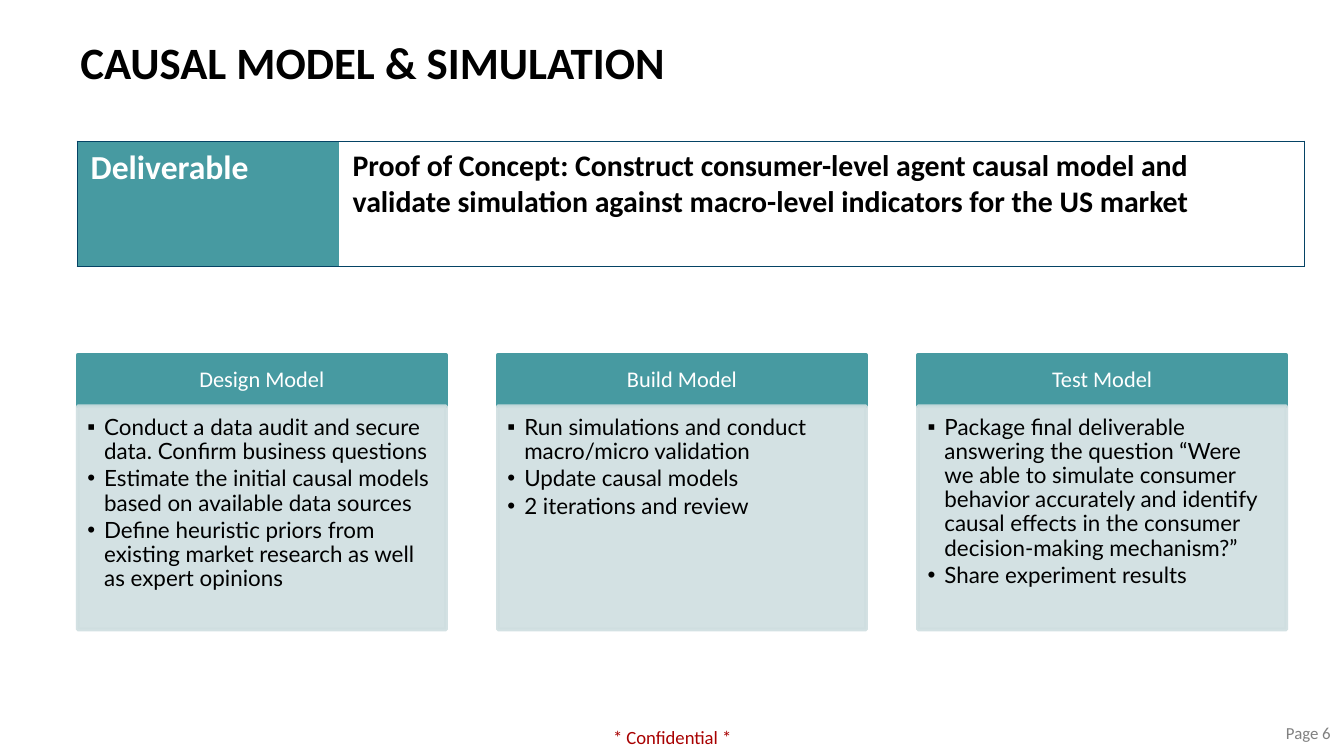
import dataclasses
import typing

import pptx
import pptx.dml.color
import pptx.enum.shapes
import pptx.enum.text
import pptx.oxml
import pptx.oxml.ns
import pptx.util

Cm = pptx.util.Cm
Pt = pptx.util.Pt
ALIGN = pptx.enum.text.PP_ALIGN
ANCHOR = pptx.enum.text.MSO_ANCHOR
NS = pptx.oxml.ns.nsdecls("a")

HUES = {
    "teal": "479AA1",
    "pale": "CFDEE0",
    "navy": "054365",
    "white": "FFFFFF",
    "black": "000000",
    "red": "A80000",
    "grey": "808080",
}


@dataclasses.dataclass
class Box:
    left: float
    top: float
    width: float
    height: float

    def spans(self) -> list[int]:
        return [Cm(n) for n in (self.left, self.top, self.width, self.height)]


@dataclasses.dataclass
class Style:
    size: float
    hue: str
    face: str = "Calibri"
    bold: bool = False


@dataclasses.dataclass
class Label:
    box: Box
    text: str
    style: Style
    para: dict[str, typing.Any]
    frame: dict[str, typing.Any]


@dataclasses.dataclass
class Step:
    title: str
    tasks: list[str]


def pads(left: float, top: float, right: float, bottom: float) -> dict[str, int]:
    return {
        "margin_left": Cm(left), "margin_top": Cm(top),
        "margin_right": Cm(right), "margin_bottom": Cm(bottom),
    }


LABELS = [
    Label(Box(11.18, 13.56, 3.05, 0.74), "* Confidential *", Style(10, "red"),
          {"alignment": ALIGN.CENTER},
          {"vertical_anchor": ANCHOR.MIDDLE, **pads(0, 0, 0, 0)}),
    Label(Box(1.27, -0.03, 19.84, 2.39), "CAUSAL MODEL & SIMULATION",
          Style(24, "black", bold=True), {}, {"vertical_anchor": ANCHOR.MIDDLE}),
    Label(Box(19.48, 13.54, 5.92, 0.76), "Page 6", Style(9, "grey"),
          {"alignment": ALIGN.RIGHT}, {}),
]

STEPS = [
    Step("Design Model", [
        "Conduct a data audit and secure data. Confirm business questions",
        "Estimate the initial causal models based on available data sources",
        "Define heuristic priors from existing market research as well as expert opinions",
    ]),
    Step("Build Model", [
        "Run simulations and conduct macro/micro validation",
        "Update causal models",
        "2 iterations and review",
    ]),
    Step("Test Model", [
        "Package final deliverable answering the question “Were we able to simulate "
        "consumer behavior accurately and identify causal effects in the consumer "
        "decision-making mechanism?”",
        "Share experiment results",
    ]),
]

GOAL = ("Proof of Concept: Construct consumer-level agent causal model and validate "
        "simulation against macro-level indicators for the US market")

HEAD = Box(1.47, 6.71, 6.96, 0.97)
BODY = Box(1.47, 7.68, 6.96, 4.22)
PITCH = 7.94


def apply(item: typing.Any, values: dict[str, typing.Any]) -> None:
    for name, value in values.items():
        setattr(item, name, value)


def tint(hue: str) -> pptx.dml.color.RGBColor:
    return pptx.dml.color.RGBColor.from_string(HUES[hue])


def write(para, text: str, style: Style, **values) -> None:
    run = para.add_run()
    run.text = text
    apply(run.font, {"size": Pt(style.size), "name": style.face, "bold": style.bold})
    run.font.color.rgb = tint(style.hue)
    apply(para, values)


def add_label(slide, label: Label) -> None:
    frame = slide.shapes.add_textbox(*label.box.spans()).text_frame
    apply(frame, {"word_wrap": True, **label.frame})
    write(frame.paragraphs[0], label.text, label.style, **label.para)


def add_panel(slide, box: Box, hue: str, **values):
    """Draw a filled rectangle and return it with its text frame formatted."""
    panel = slide.shapes.add_shape(pptx.enum.shapes.MSO_SHAPE.RECTANGLE, *box.spans())
    panel.shadow.inherit = False
    for fill in (panel.fill, panel.line.fill):
        fill.solid()
        fill.fore_color.rgb = tint(hue)
    panel.line.width = Pt(2)
    apply(panel.text_frame, {"word_wrap": True, **values})
    return panel


def fade(panel, share: int) -> None:
    """Set the opacity of fill and line, in percent."""
    for hue in panel.fill._xPr.iter(pptx.oxml.ns.qn("a:srgbClr")):
        hue.append(pptx.oxml.parse_xml(f'<a:alpha {NS} val="{share * 1000}"/>'))


def add_mark(para, mark: str) -> None:
    """Give the paragraph a hanging bullet."""
    props = para._p.get_or_add_pPr()
    props.set("marL", str(Cm(0.32)))
    props.set("indent", str(-Cm(0.32)))
    props.append(pptx.oxml.parse_xml(f'<a:buFont {NS} typeface="Arial"/>'))
    props.append(pptx.oxml.parse_xml(f'<a:buChar {NS} char="{mark}"/>'))


def add_step(slide, step: Step, shift: float) -> None:
    head, body = (dataclasses.replace(box, left=box.left + shift) for box in (HEAD, BODY))
    panel = add_panel(slide, head, "teal", vertical_anchor=ANCHOR.MIDDLE,
                      **pads(0.23, 0.13, 0.23, 0.13))
    write(panel.text_frame.paragraphs[0], step.title, Style(12, "white"),
          alignment=ALIGN.CENTER, line_spacing=0.9)

    panel = add_panel(slide, body, "pale", vertical_anchor=ANCHOR.TOP,
                      **pads(0.18, 0.18, 0.23, 0.25))
    fade(panel, 90)
    frame = panel.text_frame
    for rank, task in enumerate(step.tasks):
        para = frame.add_paragraph() if rank else frame.paragraphs[0]
        write(para, task, Style(12, "black", "Lato"), level=1, alignment=ALIGN.LEFT,
              line_spacing=0.9, space_after=Pt(1.8))
        add_mark(para, "•" if rank else "▪")


def edge(cell, sides: str) -> None:
    """Line the given sides of a cell and clear the others."""
    props = cell._tc.get_or_add_tcPr()
    ink = f'<a:solidFill><a:srgbClr val="{HUES["navy"]}"/></a:solidFill>'
    for side in "LRTB":
        fill = ink if side in sides else "<a:noFill/>"
        props.append(pptx.oxml.parse_xml(
            f'<a:ln{side} {NS} w="{Pt(0.75)}">{fill}</a:ln{side}>'))


def add_goal(slide) -> None:
    table = slide.shapes.add_table(1, 2, *Box(1.46, 2.67, 23.19, 2.36).spans()).table
    apply(table, {"first_row": False, "horz_banding": False})
    parts = [
        (4.95, "Deliverable", Style(18, "white", bold=True), "teal", "LTB"),
        (18.24, GOAL, Style(16, "black", bold=True), "white", "RTB"),
    ]
    for rank, (width, text, style, hue, sides) in enumerate(parts):
        table.columns[rank].width = Cm(width)
        cell = table.cell(0, rank)
        edge(cell, sides)
        cell.fill.solid()
        cell.fill.fore_color.rgb = tint(hue)
        write(cell.text_frame.paragraphs[0], text, style)


def main() -> None:
    deck = pptx.Presentation()
    apply(deck, {"slide_width": Cm(25.4), "slide_height": Cm(14.29)})
    slide = deck.slides.add_slide(deck.slide_layouts[6])
    for label in LABELS:
        add_label(slide, label)
    for rank, step in enumerate(STEPS):
        add_step(slide, step, rank * PITCH)
    add_goal(slide)
    deck.save("out.pptx")


if __name__ == "__main__":
    main()
